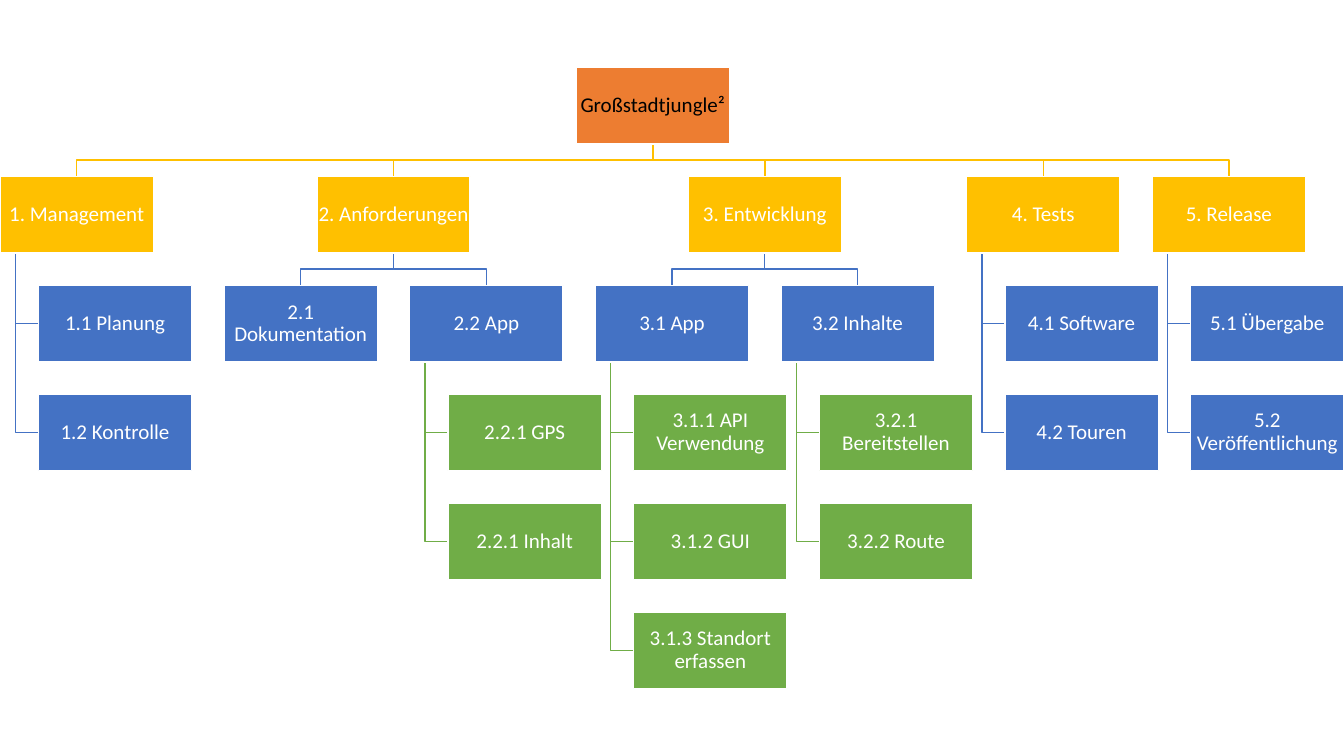
from collections import defaultdict
from dataclasses import dataclass

from pptx import Presentation
from pptx import util as u
from pptx.dml.color import RGBColor
from pptx.enum import shapes, text

# Each node is (label, children).
TREE = ("Großstadtjungle²", [
    ("1. Management", [("1.1 Planung", []), ("1.2 Kontrolle", [])]),
    ("2. Anforderungen", [
        ("2.1 Dokumentation", []),
        ("2.2 App", [("2.2.1 GPS", []), ("2.2.1 Inhalt", [])]),
    ]),
    ("3. Entwicklung", [
        ("3.1 App", [("3.1.1 API Verwendung", []), ("3.1.2 GUI", []),
                     ("3.1.3 Standort erfassen", [])]),
        ("3.2 Inhalte", [("3.2.1 Bereitstellen", []), ("3.2.2 Route", [])]),
    ]),
    ("4. Tests", [("4.1 Software", []), ("4.2 Touren", [])]),
    ("5. Release", [("5.1 Übergabe", []), ("5.2 Veröffentlichung", [])]),
])


@dataclass(frozen=True)
class Theme:
    """Colours by tree level, and type."""
    fills: tuple = ("ED7D31", "FFC000", "4472C4", "70AD47")
    inks: tuple = ("000000", "FFFFFF", "FFFFFF", "FFFFFF")
    outline: str = "FFFFFF"
    font: str = "Calibri"
    size: int = 15
    line: int = 1


THEME = Theme()
SLIDE_W, SLIDE_H = 13.33, 7.5
# The chart spans 8.76 box widths; all other measures are shares of a box width.
BOX_W = SLIDE_W / 8.76
BOX_H = 0.5 * BOX_W
GAP = 0.21 * BOX_W
INDENT = 0.25 * BOX_W
TRUNK = 0.1 * BOX_W
ROW = BOX_H + GAP
TOP = (SLIDE_H - 5 * ROW - BOX_H) / 2

boxes, links = [], []
next_free = defaultdict(float)


def row_top(row):
    """Return the top of a row of boxes."""
    return TOP + row * ROW


def put_box(label, level, left, row):
    """Record a box and reserve its place in the row."""
    boxes.append((label, level, left, row))
    next_free[row] = left + BOX_W + GAP


def hang(node, level):
    """Place a node with its leaves stacked below it; return its left edge."""
    label, leaves = node
    rows = [level + step for step in range(1, len(leaves) + 1)]
    left = max([next_free[level]] + [next_free[row] - INDENT for row in rows])
    put_box(label, level, left, level)
    trunk, start = left + TRUNK, row_top(level) + BOX_H
    for (leaf, _), row in zip(leaves, rows):
        middle = row_top(row) + BOX_H / 2
        put_box(leaf, level + 1, left + INDENT, row)
        links.append((level + 1, [(trunk, start), (trunk, middle), (left + INDENT, middle)]))
    return left


def place(node, level=0):
    """Place a node, centred over branching children; return its left edge."""
    label, children = node
    if not any(grandchildren for _, grandchildren in children):
        return hang(node, level)
    lefts = [place(child, level + 1) for child in children]
    left = (lefts[0] + lefts[-1]) / 2
    put_box(label, level, left, level)
    centre, start = left + BOX_W / 2, row_top(level) + BOX_H
    for child_left in lefts:
        end = child_left + BOX_W / 2
        links.append((level + 1, [(centre, start), (centre, start + GAP / 2),
                                  (end, start + GAP / 2), (end, start + GAP)]))
    return left


def draw_link(slide, level, points):
    """Draw one angled line in the colour of the child level."""
    start, *rest = [(u.Inches(x), u.Inches(y)) for x, y in points]
    builder = slide.shapes.build_freeform(*start)
    builder.add_line_segments(rest, close=False)
    link = builder.convert_to_shape()
    link.shadow.inherit = False
    link.fill.background()
    link.line.color.rgb = RGBColor.from_string(THEME.fills[level])
    link.line.width = u.Pt(THEME.line)


def draw_box(slide, label, level, left, row):
    """Draw one labelled box."""
    box = slide.shapes.add_shape(
        shapes.MSO_SHAPE.RECTANGLE, u.Inches(left), u.Inches(row_top(row)),
        u.Inches(BOX_W), u.Inches(BOX_H))
    box.shadow.inherit = False
    box.fill.solid()
    box.fill.fore_color.rgb = RGBColor.from_string(THEME.fills[level])
    box.line.color.rgb = RGBColor.from_string(THEME.outline)
    box.line.width = u.Pt(THEME.line)
    frame = box.text_frame
    frame.word_wrap = True
    frame.vertical_anchor = text.MSO_ANCHOR.MIDDLE
    frame.margin_left = frame.margin_right = u.Inches(0.01)
    frame.margin_top = frame.margin_bottom = u.Inches(0.01)
    para = frame.paragraphs[0]
    para.text = label
    para.alignment = text.PP_ALIGN.CENTER
    para.line_spacing = 0.9
    para.font.name = THEME.font
    para.font.size = u.Pt(THEME.size)
    para.font.color.rgb = RGBColor.from_string(THEME.inks[level])


deck = Presentation()
deck.slide_width, deck.slide_height = u.Inches(SLIDE_W), u.Inches(SLIDE_H)
page = deck.slides.add_slide(deck.slide_layouts[6])
place(TREE)
for link_data in links:
    draw_link(page, *link_data)
for box_data in boxes:
    draw_box(page, *box_data)
deck.save("out.pptx")
